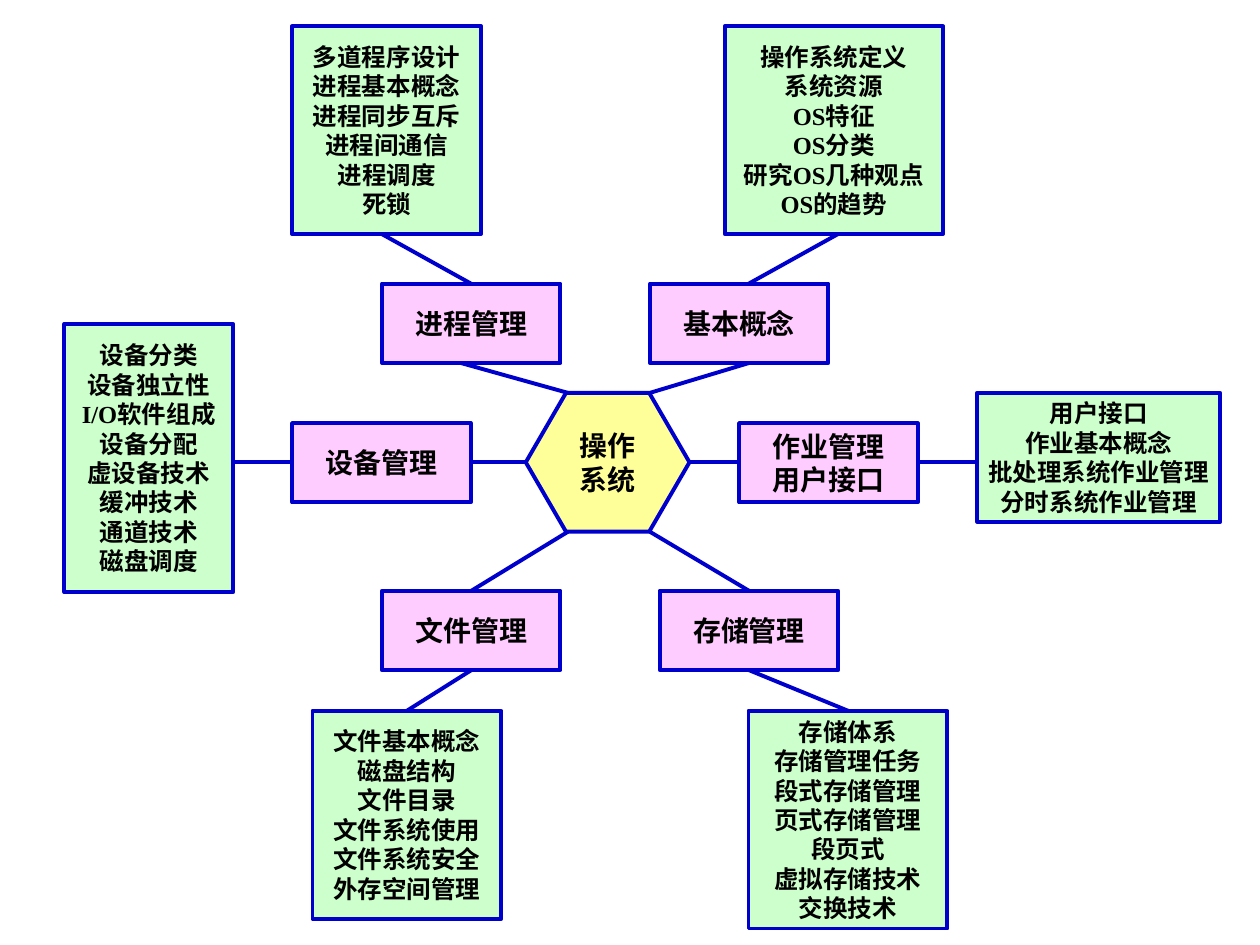
from dataclasses import dataclass

from lxml.etree import SubElement
from pptx import Presentation
from pptx.dml.color import RGBColor
from pptx.enum.shapes import MSO_CONNECTOR, MSO_SHAPE
from pptx.enum.text import MSO_ANCHOR, PP_ALIGN
from pptx.oxml.ns import qn
from pptx.util import Cm, Pt


@dataclass(frozen=True)
class Theme:
    line: RGBColor = RGBColor(0x00, 0x00, 0xCC)
    text: RGBColor = RGBColor(0x00, 0x00, 0x00)
    hub: RGBColor = RGBColor(0xFF, 0xFF, 0x99)
    topic: RGBColor = RGBColor(0xFF, 0xCC, 0xFF)
    detail: RGBColor = RGBColor(0xCC, 0xFF, 0xCC)
    line_width: float = 2.25
    heading_size: int = 16
    detail_size: int = 14
    sans: str = "Arial"
    serif: str = "Times New Roman"


theme = Theme()
deck = Presentation()
deck.slide_width, deck.slide_height = Cm(25.4), Cm(19.05)
page = deck.slides.add_slide(deck.slide_layouts[6])


def add_box(kind, place, fill, lines, size, font):
    """Add an outlined shape with centred bold lines of text; place is in cm."""
    box = page.shapes.add_shape(kind, *map(Cm, place))
    box.shadow.inherit = False
    box.fill.solid()
    box.fill.fore_color.rgb = fill
    box.line.color.rgb = theme.line
    box.line.width = Pt(theme.line_width)
    frame = box.text_frame
    frame.word_wrap = False
    frame.vertical_anchor = MSO_ANCHOR.MIDDLE
    for number, line in enumerate(lines):
        para = frame.add_paragraph() if number else frame.paragraphs[0]
        para.alignment = PP_ALIGN.CENTER
        span = para.add_run()
        span.text = line
        span.font.name = font
        span.font.size = Pt(size)
        span.font.bold = True
        span.font.color.rgb = theme.text
    return box


def add_link(start, end):
    """Add a straight line between two points in cm."""
    link = page.shapes.add_connector(
        MSO_CONNECTOR.STRAIGHT, *map(Cm, (*start, *end)))
    link.line.color.rgb = theme.line
    link.line.width = Pt(theme.line_width)
    SubElement(link._element.spPr, qn("a:effectLst"))


# Hexagon in the middle and the points where the branches leave it
hub_left, hub_top, hub_width, hub_height = 10.6, 7.92, 3.3, 2.8
hub_right, hub_bottom = hub_left + hub_width, hub_top + hub_height
hub_middle = hub_top + hub_height / 2
corner_left, corner_right = 11.45, 13.1
topic_width, topic_height = 3.6, 1.6

# Topic, its corner, detail place, detail font, detail lines,
# then the inner link (hub, topic) and the outer link (topic, detail)
branches = [
    (["基本概念"], (13.1, 5.72), (14.61, 0.53, 4.4, 4.19), theme.serif,
     ["操作系统定义", "系统资源", "OS特征", "OS分类", "研究OS几种观点", "OS的趋势"],
     ((corner_right, hub_top), (15.09, 7.32)),
     ((15.09, 5.72), (16.89, 4.72))),
    (["进程管理"], (7.7, 5.72), (5.89, 0.53, 3.81, 4.19), theme.serif,
     ["多道程序设计", "进程基本概念", "进程同步互斥", "进程间通信", "进程调度", "死锁"],
     ((corner_left, hub_top), (9.3, 7.32)),
     ((9.5, 5.72), (7.7, 4.72))),
    (["设备管理"], (5.89, 8.53), (1.3, 6.53, 3.4, 5.41), theme.serif,
     ["设备分类", "设备独立性", "I/O软件组成", "设备分配",
      "虚设备技术", "缓冲技术", "通道技术", "磁盘调度"],
     ((hub_left, hub_middle), (9.5, hub_middle)),
     ((5.89, hub_middle), (4.7, hub_middle))),
    (["作业管理", "用户接口"], (14.9, 8.53), (19.7, 7.92, 4.9, 2.6), theme.sans,
     ["用户接口", "作业基本概念", "批处理系统作业管理", "分时系统作业管理"],
     ((hub_right, hub_middle), (14.9, hub_middle)),
     ((18.5, hub_middle), (19.7, hub_middle))),
    (["文件管理"], (7.7, 11.91), (6.3, 14.33, 3.81, 4.19), theme.sans,
     ["文件基本概念", "磁盘结构", "文件目录", "文件系统使用", "文件系统安全", "外存空间管理"],
     ((corner_left, hub_bottom), (9.5, 11.91)),
     ((9.5, 13.51), (8.2, 14.33))),
    (["存储管理"], (13.3, 11.91), (15.09, 14.33, 4.01, 4.39), theme.sans,
     ["存储体系", "存储管理任务", "段式存储管理", "页式存储管理",
      "段页式", "虚拟存储技术", "交换技术"],
     ((corner_right, hub_bottom), (15.1, 11.91)),
     ((15.1, 13.51), (17.1, 14.33))),
]

# Links go first so that the boxes cover their ends
for *_, inner_link, outer_link in branches:
    add_link(*inner_link)
    add_link(*outer_link)

hub = add_box(MSO_SHAPE.HEXAGON, (hub_left, hub_top, hub_width, hub_height),
              theme.hub, ["操作", "系统"], theme.heading_size, theme.sans)
hub.adjustments[0] = 0.29

for topic, corner, detail_place, detail_font, details, *_ in branches:
    add_box(MSO_SHAPE.RECTANGLE, (*corner, topic_width, topic_height),
            theme.topic, topic, theme.heading_size, theme.sans)
    add_box(MSO_SHAPE.RECTANGLE, detail_place,
            theme.detail, details, theme.detail_size, detail_font)

deck.save("out.pptx")
